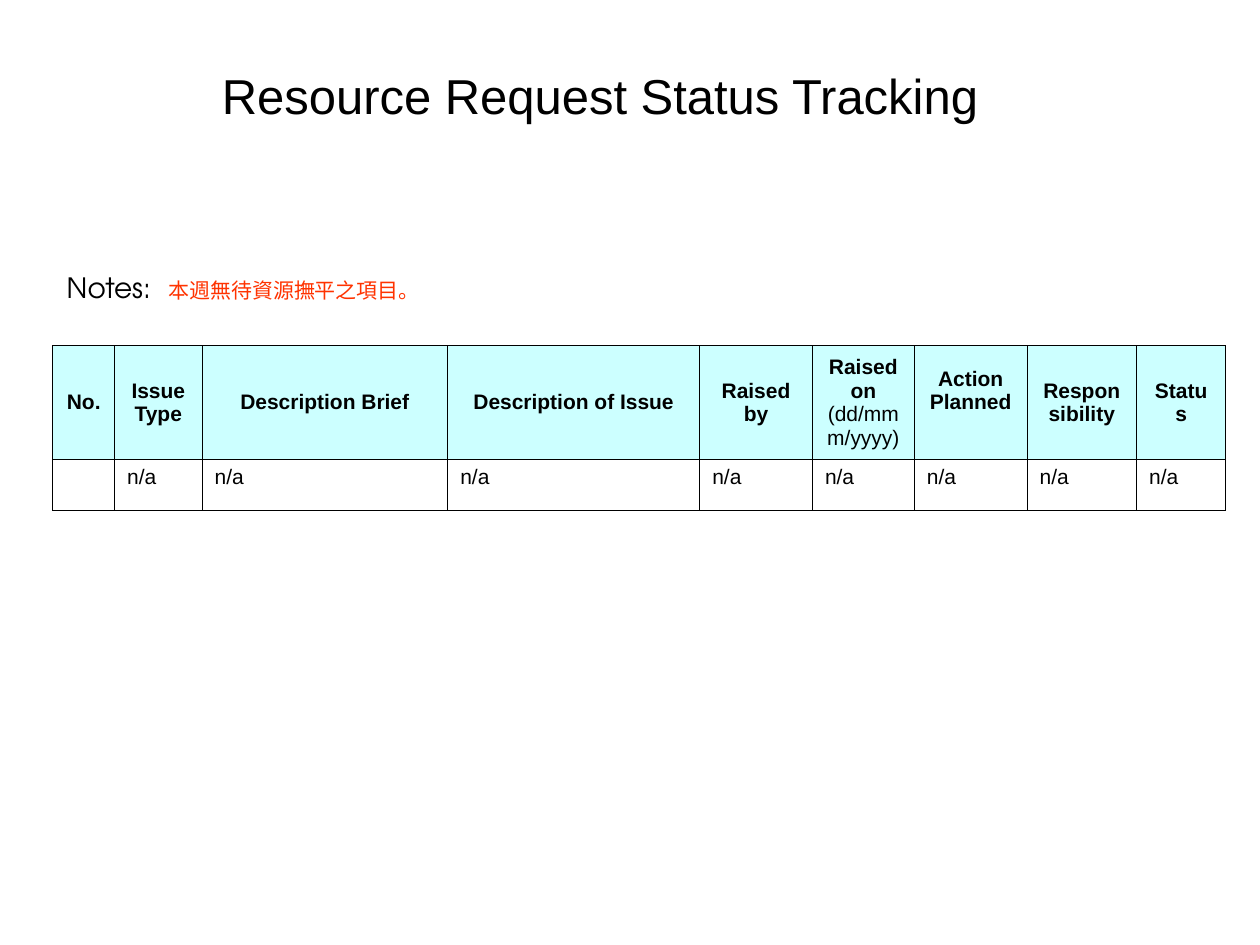
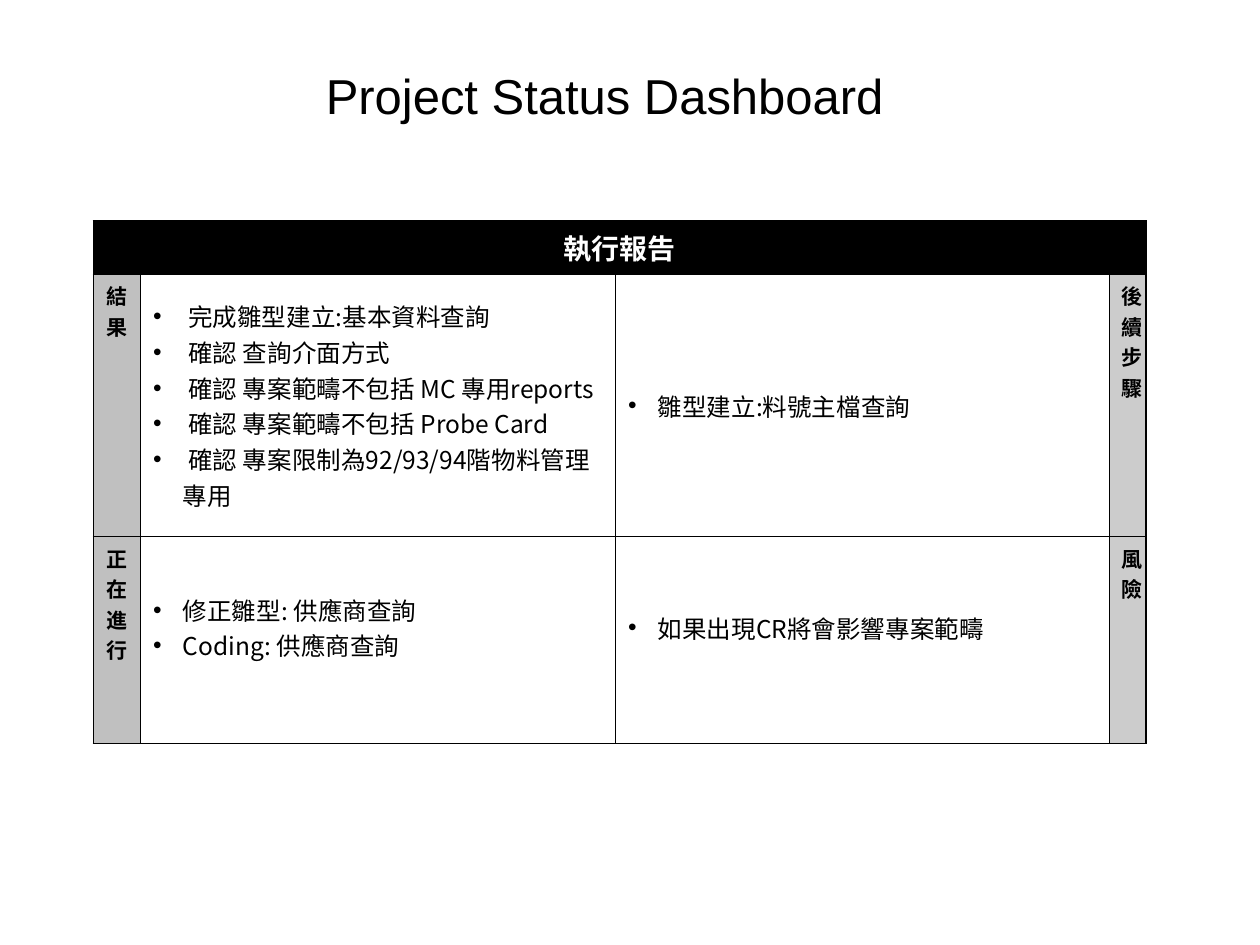
from dataclasses import dataclass
from typing import Optional

from lxml import etree
from pptx import Presentation
from pptx import util as u
from pptx.dml import color
from pptx.enum import text as t
from pptx.oxml import ns

COLORS = {
    "ink": "000000",
    "paper": "FFFFFF",
    "alert": "FF3300",
    "heading": "CCFFFF",
    "left_label": "C0C0C0",
    "right_label": "CCCCCC",
}
LATIN = "Arial"
CHINESE = "Noto Sans CJK TC"
NOTES = "TeX Gyre Adventor"
THIN, HEAVY = 0.45, 0.96
HANG = 17
CENTER, LEFT = t.PP_ALIGN.CENTER, t.PP_ALIGN.LEFT
MIDDLE, TOP = t.MSO_ANCHOR.MIDDLE, t.MSO_ANCHOR.TOP


@dataclass(frozen=True)
class Words:
    text: str
    size: float = 12
    color: str = "ink"
    bold: bool = False
    font: str = LATIN


@dataclass(frozen=True)
class Entry:
    lines: tuple[tuple[Words, ...], ...] = ()
    fill: Optional[str] = None
    align: t.PP_ALIGN = LEFT
    anchor: t.MSO_ANCHOR = TOP
    bulleted: bool = False
    bottom: float = 3.6


@dataclass(frozen=True)
class Grid:
    left: float
    top: float
    widths: tuple[float, ...]
    heights: tuple[float, ...]
    rows: tuple[tuple[Entry, ...], ...]
    framed: bool = False


def rgb(name: str) -> color.RGBColor:
    return color.RGBColor.from_string(COLORS[name])


def add_words(paragraph, words: Words) -> None:
    run = paragraph.add_run()
    run.text = words.text
    run.font.size = u.Pt(words.size)
    run.font.bold = words.bold
    run.font.name = words.font
    run.font.color.rgb = rgb(words.color)
    east_asian = etree.SubElement(run._r.get_or_add_rPr(), ns.qn("a:ea"))
    east_asian.set("typeface", CHINESE)


def add_bullet(paragraph) -> None:
    props = paragraph._p.get_or_add_pPr()
    props.set("marL", str(u.Pt(HANG)))
    props.set("indent", str(-u.Pt(HANG)))
    tint = etree.SubElement(props, ns.qn("a:buClr"))
    etree.SubElement(tint, ns.qn("a:srgbClr")).set("val", COLORS["ink"])
    etree.SubElement(props, ns.qn("a:buFont")).set("typeface", LATIN)
    etree.SubElement(props, ns.qn("a:buChar")).set("char", "•")


def add_titled_slide(deck, heading: str, left: float, width: float):
    slide = deck.slides.add_slide(deck.slide_layouts[5])
    title = slide.shapes.title
    title.left, title.top = u.Pt(left), u.Pt(31.7)
    title.width, title.height = u.Pt(width), u.Pt(45.4)
    frame = title.text_frame
    frame.vertical_anchor = MIDDLE
    frame.paragraphs[0].alignment = CENTER
    add_words(frame.paragraphs[0], Words(heading, 28))
    return slide


def draw_borders(cell, edges: dict[str, float]) -> None:
    props = cell._tc.get_or_add_tcPr()
    for place, side in enumerate("LRTB"):
        line = etree.Element(ns.qn(f"a:ln{side}"), w=str(u.Pt(edges[side])))
        paint = etree.SubElement(line, ns.qn("a:solidFill"))
        etree.SubElement(paint, ns.qn("a:srgbClr")).set("val", COLORS["ink"])
        props.insert(place, line)


def edge_widths(grid: Grid, row: int, column: int) -> dict[str, float]:
    last_row, last_column = len(grid.heights) - 1, len(grid.widths) - 1
    label = row > 0 and column in (0, last_column)
    heavy = {
        "L": column == 0,
        "R": column == last_column,
        "T": row == 0 or (label and row > 1),
        "B": row == last_row or label,
    }
    return {side: HEAVY if grid.framed and on else THIN
            for side, on in heavy.items()}


def fill_cell(cell, entry: Entry) -> None:
    if entry.fill:
        cell.fill.solid()
        cell.fill.fore_color.rgb = rgb(entry.fill)
    else:
        cell.fill.background()
    cell.vertical_anchor = entry.anchor
    cell.margin_left = cell.margin_right = u.Pt(7.2)
    cell.margin_top, cell.margin_bottom = u.Pt(3.6), u.Pt(entry.bottom)
    frame = cell.text_frame
    for number, line in enumerate(entry.lines):
        paragraph = frame.add_paragraph() if number else frame.paragraphs[0]
        if entry.bulleted:
            add_bullet(paragraph)
        paragraph.alignment = entry.align
        for position, words in enumerate(line):
            if position:
                paragraph.add_line_break()
            add_words(paragraph, words)


def draw_grid(slide, grid: Grid) -> None:
    table = slide.shapes.add_table(
        len(grid.heights), len(grid.widths), u.Pt(grid.left), u.Pt(grid.top),
        u.Pt(sum(grid.widths)), u.Pt(sum(grid.heights))).table
    table.first_row = table.horz_banding = False
    for column, width in zip(table.columns, grid.widths):
        column.width = u.Pt(width)
    for row, height in zip(table.rows, grid.heights):
        row.height = u.Pt(height)
    for r, entries in enumerate(grid.rows):
        if len(entries) == 1:
            table.cell(r, 0).merge(table.cell(r, len(grid.widths) - 1))
        for c, entry in enumerate(entries):
            fill_cell(table.cell(r, c), entry)
        for c in range(len(grid.widths)):
            draw_borders(table.cell(r, c), edge_widths(grid, r, c))


def heading(label: str, detail: str = "", bottom: float = 3.6) -> Entry:
    line = (Words(label, bold=True),)
    if detail:
        line += (Words(detail),)
    return Entry((line,), "heading", CENTER, MIDDLE, bottom=bottom)


def side_label(label: str, fill: str, align: t.PP_ALIGN) -> Entry:
    return Entry(((Words(label, bold=True, font=CHINESE),),), fill, align)


def bullets(*items: str, bottom: float = 3.6) -> Entry:
    lines = tuple((Words(item, 14, font=CHINESE),) for item in items)
    return Entry(lines, anchor=MIDDLE, bulleted=True, bottom=bottom)


def add_resource_requests(deck) -> None:
    slide = add_titled_slide(deck, "Resource Request Status Tracking", 31, 623.5)
    headings = (
        heading("No."),
        heading("Issue Type"),
        heading("Description Brief"),
        heading("Description of Issue"),
        heading("Raised by"),
        heading("Raised on", "(dd/mmm/yyyy)"),
        heading("Action Planned", bottom=17.3),
        heading("Responsibility"),
        heading("Status"),
    )
    unused = Entry(((Words("n/a"),),))
    request = (Entry(),) + (unused,) * (len(headings) - 1)
    draw_grid(slide, Grid(
        30.2, 197.6, (35.3, 50, 140.4, 144, 64.4, 58.3, 64.4, 62.6, 51),
        (64.8, 21.6), (headings, request)))

    notes = slide.shapes.add_textbox(
        u.Pt(31), u.Pt(151.2), u.Pt(660), u.Pt(26.6)).text_frame
    notes.word_wrap = True
    remark = notes.paragraphs[0]
    tabs = etree.SubElement(remark._p.get_or_add_pPr(), ns.qn("a:tabLst"))
    etree.SubElement(tabs, ns.qn("a:tab"), pos=str(u.Pt(58)), algn="l")
    add_words(remark, Words("Notes:\t", 16, font=NOTES))
    add_words(remark, Words("本週無待資源撫平之項目。", color="alert", font=NOTES))


def add_dashboard(deck) -> None:
    slide = add_titled_slide(deck, "Project Status Dashboard", 36, 619)
    banner = Entry(((Words("執行報告", 16, "paper", True, CHINESE),),),
                   "ink", CENTER, MIDDLE)
    finished = (
        side_label("結果", "left_label", CENTER),
        bullets(
            " 完成雛型建立:基本資料查詢",
            " 確認 查詢介面方式",
            " 確認 專案範疇不包括 MC 專用reports",
            " 確認 專案範疇不包括 Probe Card",
            " 確認 專案限制為92/93/94階物料管理專用",
        ),
        bullets("雛型建立:料號主檔查詢"),
        side_label("後續步驟", "right_label", LEFT),
    )
    ongoing = (
        side_label("正在進行", "left_label", CENTER),
        bullets("修正雛型: 供應商查詢", "Coding: 供應商查詢", bottom=18),
        bullets("如果出現CR將會影響專案範疇", bottom=18),
        side_label("風險", "right_label", LEFT),
    )
    draw_grid(slide, Grid(
        53.3, 126.3, (27, 271.4, 282.3, 20.9), (28, 128.2, 118.1),
        ((banner,), finished, ongoing), framed=True))


def main() -> None:
    deck = Presentation()
    deck.slide_width, deck.slide_height = u.Pt(720), u.Pt(540)
    add_resource_requests(deck)
    add_dashboard(deck)
    deck.save("out.pptx")


if __name__ == "__main__":
    main()
